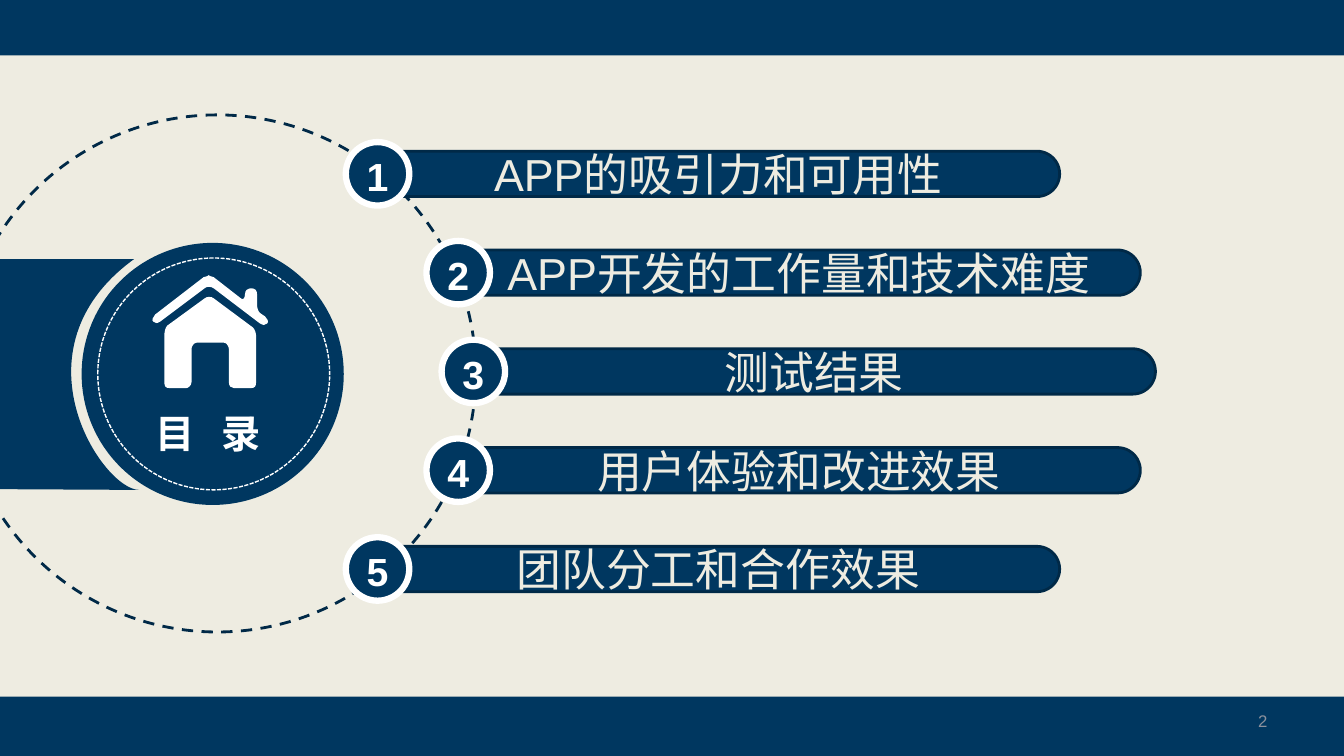
from dataclasses import dataclass
from typing import Optional

from lxml.etree import SubElement
from pptx import Presentation
from pptx.dml.color import RGBColor
from pptx.enum.dml import MSO_LINE
from pptx.enum.shapes import MSO_SHAPE
from pptx.enum.text import MSO_ANCHOR, MSO_AUTO_SIZE, PP_ALIGN
from pptx.oxml.ns import qn
from pptx.util import Pt

SCALE = 9144
FONT = "Arial"
COLORS = {
    "cream": "EEECE1",
    "navy": "003760",
    "outline": "002947",
    "white": "FFFFFF",
    "gray": "8C919D",
}


@dataclass(frozen=True)
class Box:
    left: int
    top: int
    width: int
    height: int

    def emu(self) -> tuple:
        return tuple(value * SCALE for value in (self.left, self.top, self.width, self.height))


@dataclass(frozen=True)
class Outline:
    color: str
    width: float
    dash: Optional[MSO_LINE] = None


@dataclass(frozen=True)
class TextStyle:
    size: int
    color: str
    bold: bool = False
    alignment: PP_ALIGN = PP_ALIGN.CENTER
    top_inset: int = 5
    bottom_inset: int = 5


@dataclass(frozen=True)
class Entry:
    left: int
    text: str


ENTRIES = [
    Entry(343, "APP的吸引力和可用性"),
    Entry(423, "APP开发的工作量和技术难度"),
    Entry(438, "测试结果"),
    Entry(423, "用户体验和改进效果"),
    Entry(343, "团队分工和合作效果"),
]
ENTRY_TOP, ENTRY_STEP = 141, 98

SIDE_TAB = [(-50, 257), (133, 257), (9, 347, 102, 486, 138, 486), (-50, 485)]
HOUSE_WALLS = [
    (212, 296), (210, 294, 205, 294, 203, 296), (166, 323),
    (164, 325, 163, 329, 163, 333), (163, 379), (163, 383, 164, 385, 168, 385),
    (185, 385), (186, 385, 190, 383, 190, 379), (190, 346),
    (190, 344, 192, 340, 195, 340), (222, 340), (225, 340, 227, 344, 227, 346),
    (227, 379), (227, 383, 229, 385, 232, 385), (249, 385),
    (253, 385, 254, 383, 254, 379), (254, 333), (254, 331, 253, 327, 251, 325),
]
HOUSE_ROOF = [
    (260, 312), (256, 310, 255, 306, 255, 302), (255, 292),
    (255, 288, 253, 286, 249, 286), (248, 286), (246, 286, 243, 288, 243, 292),
    (243, 296, 241, 298, 239, 296), (212, 275), (210, 275, 207, 273, 207, 273),
    (207, 273, 205, 275, 202, 275), (154, 312), (152, 314, 150, 318, 152, 319),
    (154, 321, 156, 321, 159, 319), (203, 286), (205, 284, 209, 284, 212, 286),
    (258, 321), (260, 323, 263, 323, 265, 321), (267, 319, 265, 316, 263, 314),
]


def rgb(name: str) -> RGBColor:
    return RGBColor.from_string(COLORS[name])


def paint(shape, fill: Optional[str], outline: Optional[Outline] = None) -> None:
    shape.shadow.inherit = False
    if fill:
        shape.fill.solid()
        shape.fill.fore_color.rgb = rgb(fill)
    else:
        shape.fill.background()
    if outline is None:
        shape.line.fill.background()
        return
    shape.line.color.rgb = rgb(outline.color)
    shape.line.width = Pt(outline.width)
    if outline.dash:
        shape.line.dash_style = outline.dash


def add_preset(shapes, kind: MSO_SHAPE, box: Box, fill: Optional[str],
               outline: Optional[Outline] = None):
    shape = shapes.add_shape(kind, *box.emu())
    paint(shape, fill, outline)
    return shape


def add_outline_shape(shapes, segments: list, fill: str) -> None:
    ends = [segment[-2:] for segment in segments]
    left, top = (min(end[axis] for end in ends) for axis in (0, 1))
    builder = shapes.build_freeform(*ends[0], scale=SCALE)
    builder.add_line_segments(ends[1:], close=True)
    shape = builder.convert_to_shape()
    lines = list(shape._element.iter(qn("a:lnTo")))
    for line, segment in zip(lines, segments[1:]):
        if len(segment) == 2:
            continue
        line.tag = qn("a:cubicBezTo")
        line.remove(line[0])
        for x, y in zip(segment[::2], segment[1::2]):
            SubElement(line, qn("a:pt"), x=str(x - left), y=str(y - top))
    paint(shape, fill)


def write(shape, text: str, style: TextStyle) -> None:
    frame = shape.text_frame
    frame.text = text
    frame.word_wrap = True
    frame.auto_size = MSO_AUTO_SIZE.NONE
    frame.vertical_anchor = MSO_ANCHOR.MIDDLE
    frame.margin_left = frame.margin_right = 10 * SCALE
    frame.margin_top = style.top_inset * SCALE
    frame.margin_bottom = style.bottom_inset * SCALE
    paragraph = frame.paragraphs[0]
    paragraph.alignment = style.alignment
    for run in paragraph.runs:
        run.font.name = FONT
        run.font.size = Pt(style.size)
        run.font.bold = style.bold
        run.font.color.rgb = rgb(style.color)


def add_entry(slide, number: int, entry: Entry) -> None:
    top = ENTRY_TOP + ENTRY_STEP * (number - 1)
    shapes = slide.shapes.add_group_shape().shapes
    bar = add_preset(shapes, MSO_SHAPE.ROUNDED_RECTANGLE, Box(entry.left + 31, top + 9, 677, 45),
                     "navy", Outline("outline", 2))
    bar.adjustments[0] = 0.5
    write(bar, entry.text, TextStyle(32, "cream"))
    add_preset(shapes, MSO_SHAPE.OVAL, Box(entry.left, top, 63, 63), "navy", Outline("white", 4.5))
    label = shapes.add_textbox(*Box(entry.left, top + 18, 63, 54).emu())
    write(label, str(number), TextStyle(28, "white", True, top_inset=0, bottom_inset=23))


def place_title(slide) -> None:
    title = slide.shapes.title
    title.left, title.top, title.width, title.height = Box(144, 397, 142, 88).emu()
    write(title, "目 录", TextStyle(28, "white", True, PP_ALIGN.LEFT, 0, 24))
    title.text_frame.paragraphs[0].runs[0].font._element.set("spc", "640")
    slide.shapes._spTree.append(title._element)


def main() -> None:
    presentation = Presentation()
    presentation.slide_width = 1333 * SCALE
    presentation.slide_height = 750 * SCALE
    slide = presentation.slides.add_slide(presentation.slide_layouts[5])
    slide.background.fill.solid()
    slide.background.fill.fore_color.rgb = rgb("cream")
    shapes = slide.shapes

    add_preset(shapes, MSO_SHAPE.OVAL, Box(-41, 114, 513, 513), "cream",
               Outline("outline", 2, MSO_LINE.DASH))
    add_outline_shape(shapes, SIDE_TAB, "navy")
    add_preset(shapes, MSO_SHAPE.OVAL, Box(81, 241, 260, 260), "navy")
    house = shapes.add_group_shape().shapes
    for segments in (HOUSE_WALLS, HOUSE_ROOF):
        add_outline_shape(house, segments, "white")
    place_title(slide)
    add_preset(shapes, MSO_SHAPE.OVAL, Box(97, 256, 230, 230), None,
               Outline("white", 1, MSO_LINE.SQUARE_DOT))
    for top in (-4, 691):
        add_preset(shapes, MSO_SHAPE.RECTANGLE, Box(0, top, 1333, 59), "navy")
    for number, entry in enumerate(ENTRIES, start=1):
        add_entry(slide, number, entry)
    page_number = shapes.add_textbox(*Box(956, 695, 311, 40).emu())
    write(page_number, "2", TextStyle(12, "gray", alignment=PP_ALIGN.RIGHT))

    presentation.save("out.pptx")


if __name__ == "__main__":
    main()
